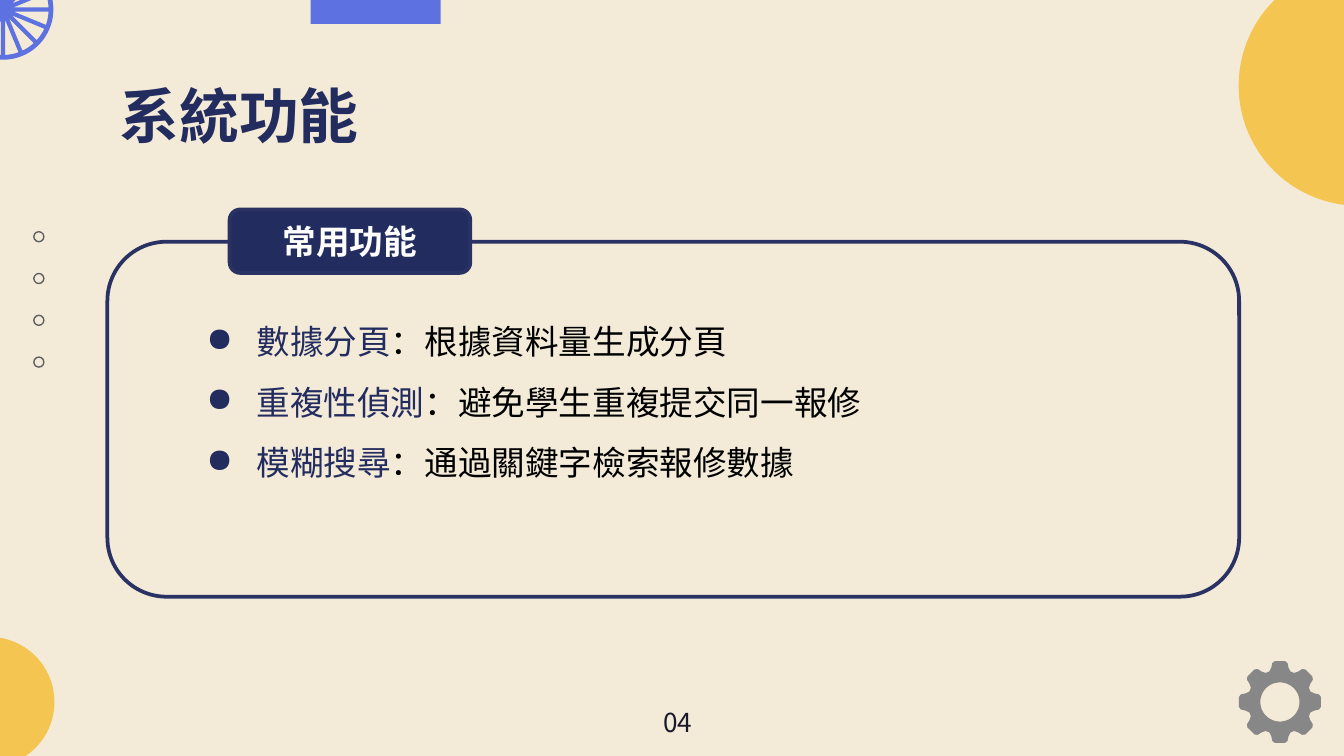
import math

import pptx
import pptx.dml.color
import pptx.enum.shapes
import pptx.enum.text
import pptx.oxml.ns
import pptx.util
from lxml import etree
from pptx.util import Cm

# Content
TITLE = "系統功能"
PANEL_LABEL = "常用功能"
FEATURES = [
    ("數據分頁", "：根據資料量生成分頁"),
    ("重複性偵測", "：避免學生重複提交同一報修"),
    ("模糊搜尋", "：通過關鍵字檢索報修數據"),
]
PAGE_NUMBER = "04"

THEME = {
    "font": "Noto Sans CJK SC",
    "background": "F3EBD8", "navy": "232C5E", "outline": "293262",
    "blue": "5D71E0", "yellow": "F4C551", "gear": "878787", "dot": "606060",
    "text": "000000", "page": "191A2A", "white": "FFFFFF",
    "title_size": 32, "body_size": 18, "page_size": 14,
}
SHAPES = pptx.enum.shapes.MSO_SHAPE
ALIGN = pptx.enum.text.PP_ALIGN

deck = pptx.Presentation()
deck.slide_width, deck.slide_height = Cm(25.4), Cm(14.29)
slide = deck.slides.add_slide(deck.slide_layouts[6])


def color(name):
    return pptx.dml.color.RGBColor.from_string(THEME[name])


def paint(shape, fill=None, line=None, weight=0):
    shape.shadow.inherit = False
    if fill:
        shape.fill.solid()
        shape.fill.fore_color.rgb = color(fill)
    else:
        shape.fill.background()
    if line:
        shape.line.color.rgb = color(line)
        shape.line.width = pptx.util.Pt(weight)
    else:
        shape.line.fill.background()


def preset(kind, left, top, width, height, **look):
    shape = slide.shapes.add_shape(kind, Cm(left), Cm(top), Cm(width), Cm(height))
    paint(shape, **look)
    return shape


def polar(center, radius, degrees):
    angle = math.radians(degrees)
    return (center[0] + radius * math.cos(angle), center[1] + radius * math.sin(angle))


def arc(center, radius, start=0, end=360, step=3):
    count = max(2, round((end - start) / step))
    return [polar(center, radius, start + (end - start) * i / count)
            for i in range(count + 1)]


def outline(contours, fill):
    """Draw closed contours as one shape; inner contours become holes."""
    contours = [[(Cm(x), Cm(y)) for x, y in points] for points in contours]
    builder = slide.shapes.build_freeform(*contours[0][0])
    builder.add_line_segments(contours[0][1:])
    for points in contours[1:]:
        builder.move_to(*points[0])
        builder.add_line_segments(points[1:])
    paint(builder.convert_to_shape(), fill=fill)


def set_font(paragraph, size, ink, bold=False):
    font = paragraph.font
    font.size, font.bold, font.name = pptx.util.Pt(size), bold, THEME["font"]
    font.color.rgb = color(ink)
    properties = paragraph._p.pPr.find(pptx.oxml.ns.qn("a:defRPr"))
    etree.SubElement(properties, pptx.oxml.ns.qn("a:ea"), typeface=THEME["font"])


def add_bullet(paragraph, ink):
    qn = pptx.oxml.ns.qn
    properties = paragraph._p.get_or_add_pPr()
    properties.set("marL", str(Cm(1.27)))
    properties.set("indent", str(Cm(-0.95)))
    tint = etree.SubElement(properties, qn("a:buClr"))
    etree.SubElement(tint, qn("a:srgbClr"), val=THEME[ink])
    etree.SubElement(properties, qn("a:buChar"), char="●")


def text_frame(left, top, width, height, inset=0.25):
    frame = slide.shapes.add_textbox(Cm(left), Cm(top), Cm(width), Cm(height)).text_frame
    frame.word_wrap = True
    frame.margin_left = frame.margin_right = Cm(inset)
    frame.margin_top = frame.margin_bottom = Cm(inset)
    return frame


# Background
slide.background.fill.solid()
slide.background.fill.fore_color.rgb = color("background")

# Gear: eight teeth around a round hole
gear_center = (24.19, 13.27)
tooth = [(0.61, -19), (0.67, -14), (0.75, -11), (0.78, -7),
         (0.78, 7), (0.75, 11), (0.67, 14), (0.61, 19)]
teeth = [polar(gear_center, radius, 45 * i + offset)
         for i in range(8) for radius, offset in tooth]
outline([teeth, arc(gear_center, 0.37)], "gear")

# Half discs at the edges
outline([arc((25.68, 1.62), 2.27, 90, 270)], "yellow")
outline([arc((-0.2, 13.27), 1.23, -90, 90)], "yellow")

# Column of dots
for i in range(4):
    preset(SHAPES.OVAL, 0.64, 4.38 + 0.79 * i, 0.19, 0.19, line="dot", weight=0.75)

# Top bar
preset(SHAPES.RECTANGLE, 5.87, -0.69, 2.46, 1.14, fill="blue")

# Wheel: sixteen openings leave the spokes between them
wheel_center, rim, half_spoke, sector = (0.06, 0.18), 0.86, 0.04, 360 / 16
apex = half_spoke / math.sin(math.radians(sector / 2))
half_angle = sector / 2 - math.degrees(math.asin(half_spoke / rim))
openings = []
for i in range(16):
    middle = sector * (i + 0.5)
    openings.append([polar(wheel_center, apex, middle)]
                    + arc(wheel_center, rim, middle - half_angle, middle + half_angle))
outline([arc(wheel_center, 0.95)] + openings, "blue")

# Title
title = text_frame(2.01, 1.24, 21.41, 1.6).paragraphs[0]
title.text = TITLE
set_font(title, THEME["title_size"], "navy", bold=True)

# Feature list
feature_frame = text_frame(3.33, 5.44, 17.45, 4.85)
for i, (name, detail) in enumerate(FEATURES):
    feature = feature_frame.add_paragraph() if i else feature_frame.paragraphs[0]
    feature.line_spacing = 1.5
    feature.space_before = pptx.util.Pt(0 if i else 12)
    add_bullet(feature, "navy")
    set_font(feature, THEME["body_size"], "text")
    for words, ink in ((name, "navy"), (detail, "text")):
        run = feature.add_run()
        run.text = words
        run.font.color.rgb = color(ink)

# Panel and its label
preset(SHAPES.ROUNDED_RECTANGLE, 2.03, 4.57, 21.39, 6.71, line="outline", weight=2)
label_box = preset(SHAPES.ROUNDED_RECTANGLE, 4.34, 3.96, 4.55, 1.2,
                   fill="navy", line="outline", weight=2)
label_box.text_frame.vertical_anchor = pptx.enum.text.MSO_ANCHOR.MIDDLE
label = label_box.text_frame.paragraphs[0]
label.text = PANEL_LABEL
label.alignment = ALIGN.CENTER
set_font(label, THEME["body_size"], "white", bold=True)

# Page number
page_frame = text_frame(12.27, 13.23, 1.09, 0.86, inset=0.13)
page_frame.word_wrap = False
page_frame.auto_size = pptx.enum.text.MSO_AUTO_SIZE.SHAPE_TO_FIT_TEXT
page = page_frame.paragraphs[0]
page.text = PAGE_NUMBER
page.alignment = ALIGN.CENTER
set_font(page, THEME["page_size"], "page")

deck.save("out.pptx")
